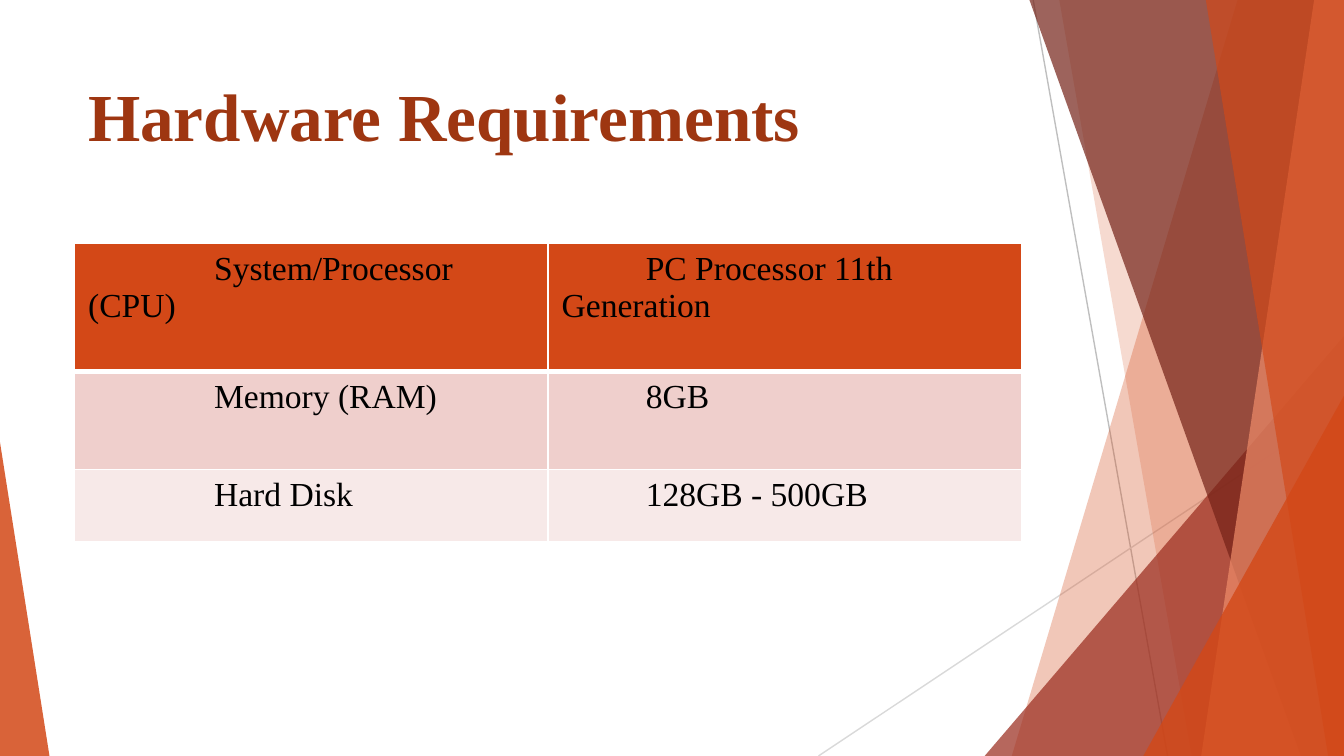
"""Build the hardware requirements slide with its faceted border and table."""
from lxml import etree
from pptx import Presentation
from pptx.dml.color import RGBColor
from pptx.enum.shapes import MSO_CONNECTOR, MSO_SHAPE
from pptx.enum.text import MSO_ANCHOR, MSO_AUTO_SIZE, PP_ALIGN
from pptx.oxml import parse_xml
from pptx.oxml.ns import nsdecls, qn
from pptx.util import Pt

STRAIGHT = MSO_CONNECTOR.STRAIGHT
TRIANGLE = MSO_SHAPE.ISOSCELES_TRIANGLE
TOP = MSO_ANCHOR.TOP
LEFT = PP_ALIGN.LEFT
NO_AUTOFIT = MSO_AUTO_SIZE.NONE
WIDTH, HEIGHT = 720, 405
FONT = "Times New Roman"


def color(value):
    """Return the colour for a hex string."""
    return RGBColor.from_string(value)


def paint(shape, value, opacity):
    """Give a shape a translucent fill without line or shadow."""
    shape.shadow.inherit = False
    shape.line.fill.background()
    shape.fill.solid()
    shape.fill.fore_color.rgb = color(value)
    solid = shape._element.spPr.find(qn("a:solidFill"))
    etree.SubElement(solid[0], qn("a:alpha"), val=str(opacity * 1000))


presentation = Presentation()
presentation.slide_width, presentation.slide_height = Pt(WIDTH), Pt(HEIGHT)
slide = presentation.slides.add_slide(presentation.slide_layouts[5])
shapes = slide.shapes

lines = [
    (553.5, 0, 625.5, HEIGHT, "BFBFBF"),
    (WIDTH, 217.5, 438.5, HEIGHT, "D9D9D9"),
]
for *ends, line_color in lines:
    connector = shapes.add_connector(STRAIGHT, *[Pt(end) for end in ends])
    connector.line.color.rgb = color(line_color)
    connector.line.width = Pt(0.75)
    etree.SubElement(connector._element.spPr, qn("a:effectLst"))

facets = [
    ("band", 663, 542, "D34817", 30),
    ("band", 567.5, 638.5, "D34817", 20),
    ("triangle", 527.5, 180, WIDTH - 527.5, 1, "9B2D1F", 72),
    ("band", 551.5, 697, "742217", 70),
    ("band", 704, 643.5, "EF8C6A", 70),
    ("band", 646, 711.5, "D34817", 65),
    ("triangle", 612.5, 212, WIDTH - 612.5, 1, "D34817", 80),
    ("triangle", 0, 237, 26.5, 0, "D34817", 85),
]
for kind, *geometry, fill_color, opacity in facets:
    if kind == "band":
        top_left, bottom_left = geometry
        builder = shapes.build_freeform(Pt(top_left), 0)
        corners = [(WIDTH, 0), (WIDTH, HEIGHT), (bottom_left, HEIGHT)]
        builder.add_line_segments([(Pt(x), Pt(y)) for x, y in corners])
        facet = builder.convert_to_shape()
    else:
        left, top, width, apex = geometry
        facet = shapes.add_shape(TRIANGLE, Pt(left), Pt(top), Pt(width), Pt(HEIGHT - top))
        facet.adjustments[0] = apex
    paint(facet, fill_color, opacity)

title = shapes.title
title_place = {"left": Pt(40), "top": Pt(36), "width": Pt(507.5), "height": Pt(78)}
for name, value in title_place.items():
    setattr(title, name, value)
frame = title.text_frame
frame.text = "Hardware Requirements"
frame_format = {"vertical_anchor": TOP, "margin_top": Pt(3.6), "auto_size": NO_AUTOFIT, "word_wrap": True}
for name, value in frame_format.items():
    setattr(frame, name, value)
paragraph = frame.paragraphs[0]
paragraph.alignment = LEFT
font = paragraph.runs[0].font
for name, value in {"name": FONT, "size": Pt(36), "bold": True}.items():
    setattr(font, name, value)
font.color.rgb = color("9E3611")

table_rows = [
    (68.5, "D34817", "System/Processor (CPU)", "PC Processor 11th Generation"),
    (52.5, "EFCFCC", "Memory (RAM)", "8GB"),
    (39, "F7E9E8", "Hard Disk", "128GB - 500GB"),
]
indents = [67.5, 45]
table_height = sum(row[0] for row in table_rows)
table = shapes.add_table(3, 2, Pt(40), Pt(130.5), Pt(507.5), Pt(table_height)).table
for row_index, (row_height, row_color, *texts) in enumerate(table_rows):
    table.rows[row_index].height = Pt(row_height)
    widths = {"L": 1, "R": 1, "T": 3 if row_index == 1 else 1, "B": 3 if row_index == 0 else 1}
    for column_index, (text, indent) in enumerate(zip(texts, indents)):
        cell = table.cell(row_index, column_index)
        cell.text = text
        cell.fill.solid()
        cell.fill.fore_color.rgb = color(row_color)
        paragraph = cell.text_frame.paragraphs[0]
        paragraph._p.get_or_add_pPr().set("indent", str(Pt(indent)))
        font = paragraph.runs[0].font
        for name, value in {"name": FONT, "size": Pt(18), "bold": False}.items():
            setattr(font, name, value)
        font.color.rgb = color("000000")
        properties = cell._tc.get_or_add_tcPr()
        for position, (side, width) in enumerate(widths.items()):
            border = parse_xml(
                f'<a:ln{side} {nsdecls("a")} w="{Pt(width)}"><a:solidFill>'
                f'<a:srgbClr val="FFFFFF"/></a:solidFill></a:ln{side}>'
            )
            properties.insert(position, border)

presentation.save("out.pptx")
